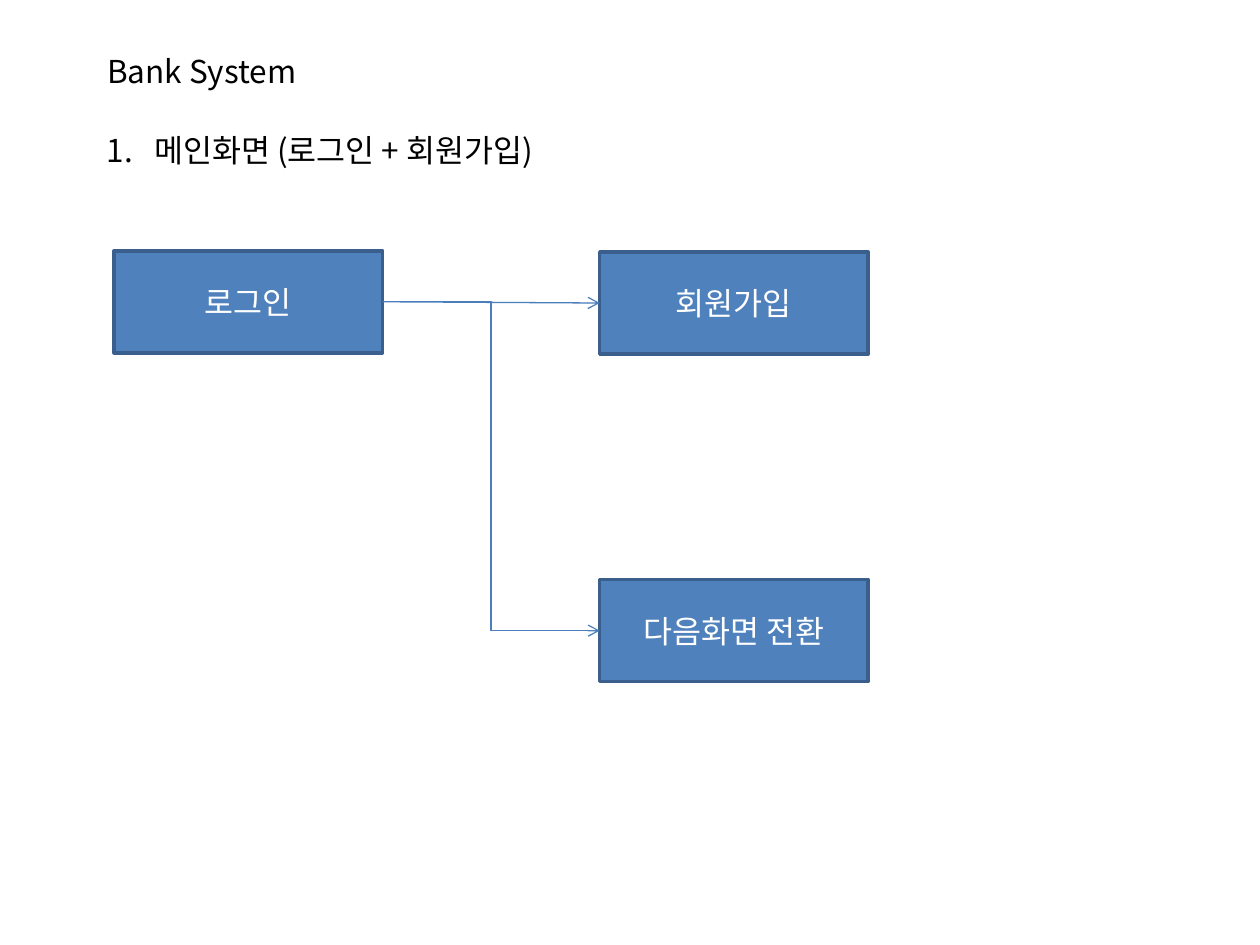
from dataclasses import dataclass

from lxml.etree import SubElement
from pptx import Presentation
from pptx.dml.color import RGBColor
from pptx.enum.shapes import MSO_CONNECTOR, MSO_SHAPE
from pptx.enum.text import MSO_ANCHOR, MSO_AUTO_SIZE, PP_ALIGN
from pptx.oxml.ns import qn
from pptx.util import Pt


@dataclass(frozen=True)
class Theme:
    font: str = "Noto Sans CJK KR"
    size: float = 18
    ink: str = "000000"
    box_ink: str = "FFFFFF"
    box_fill: str = "4F81BD"
    box_border: str = "3A5F8C"
    arrow: str = "4B7EBC"
    border_width: float = 2
    arrow_width: float = 0.75


@dataclass(frozen=True)
class Screen:
    label: str
    left: float
    top: float


@dataclass(frozen=True)
class Transition:
    source: str
    target: str
    route: MSO_CONNECTOR


THEME = Theme()
BOX_WIDTH, BOX_HEIGHT = 153.4, 58.3
LOGIN, SIGN_UP, NEXT = "로그인", "회원가입", "다음화면 전환"
RIGHT_COLUMN = 342.7
SCREENS = [
    Screen(LOGIN, 65.2, 143.3),
    Screen(NEXT, RIGHT_COLUMN, 331.2),
    Screen(SIGN_UP, RIGHT_COLUMN, 144),
]
TRANSITIONS = [
    Transition(LOGIN, SIGN_UP, MSO_CONNECTOR.STRAIGHT),
    Transition(LOGIN, NEXT, MSO_CONNECTOR.ELBOW),
]
LEFT_SITE, RIGHT_SITE = 1, 3


def add_text(frame, text: str, color: str, align: PP_ALIGN, anchor: MSO_ANCHOR):
    frame.word_wrap = True
    frame.auto_size = MSO_AUTO_SIZE.NONE
    frame.vertical_anchor = anchor
    paragraph = frame.paragraphs[0]
    paragraph.alignment = align
    run = paragraph.add_run()
    run.text = text
    run.font.size = Pt(THEME.size)
    run.font.color.rgb = RGBColor.from_string(color)
    run.font.name = THEME.font
    SubElement(run.font._element, qn("a:ea"), typeface=THEME.font)
    return paragraph


def add_title(slide, text: str) -> None:
    title = slide.shapes.title
    title.left, title.top, title.width, title.height = Pt(54), Pt(26), Pt(238), Pt(29)
    add_text(title.text_frame, text, THEME.ink, PP_ALIGN.LEFT, MSO_ANCHOR.TOP)


def add_numbered_heading(slide, text: str) -> None:
    heading = slide.shapes.add_textbox(Pt(54), Pt(71.3), Pt(357), Pt(51))
    paragraph = add_text(heading.text_frame, text, THEME.ink, PP_ALIGN.LEFT, MSO_ANCHOR.TOP)
    properties = paragraph._p.get_or_add_pPr()
    properties.set("marL", str(Pt(27)))
    properties.set("indent", str(-Pt(27)))
    SubElement(properties, qn("a:buFont"), typeface=THEME.font)
    SubElement(properties, qn("a:buAutoNum"), type="arabicPeriod")


def add_screen(slide, screen: Screen):
    box = slide.shapes.add_shape(
        MSO_SHAPE.RECTANGLE, Pt(screen.left), Pt(screen.top), Pt(BOX_WIDTH), Pt(BOX_HEIGHT)
    )
    box.shadow.inherit = False
    box.fill.solid()
    box.fill.fore_color.rgb = RGBColor.from_string(THEME.box_fill)
    box.line.color.rgb = RGBColor.from_string(THEME.box_border)
    box.line.width = Pt(THEME.border_width)
    add_text(box.text_frame, screen.label, THEME.box_ink, PP_ALIGN.CENTER, MSO_ANCHOR.MIDDLE)
    return box


def add_transition(slide, transition: Transition, boxes: dict) -> None:
    arrow = slide.shapes.add_connector(transition.route, Pt(0), Pt(0), Pt(0), Pt(0))
    arrow.begin_connect(boxes[transition.source], RIGHT_SITE)
    arrow.end_connect(boxes[transition.target], LEFT_SITE)
    arrow.line.color.rgb = RGBColor.from_string(THEME.arrow)
    arrow.line.width = Pt(THEME.arrow_width)
    SubElement(arrow.line._get_or_add_ln(), qn("a:tailEnd"), type="arrow")
    SubElement(arrow._element.spPr, qn("a:effectLst"))


def main() -> None:
    presentation = Presentation()
    presentation.slide_width, presentation.slide_height = Pt(720), Pt(540)
    slide = presentation.slides.add_slide(presentation.slide_layouts.get_by_name("Title Only"))
    add_title(slide, "Bank System")
    add_numbered_heading(slide, "메인화면 (로그인 + 회원가입)")
    boxes = {screen.label: add_screen(slide, screen) for screen in SCREENS}
    for transition in TRANSITIONS:
        add_transition(slide, transition, boxes)
    presentation.save("out.pptx")


if __name__ == "__main__":
    main()
